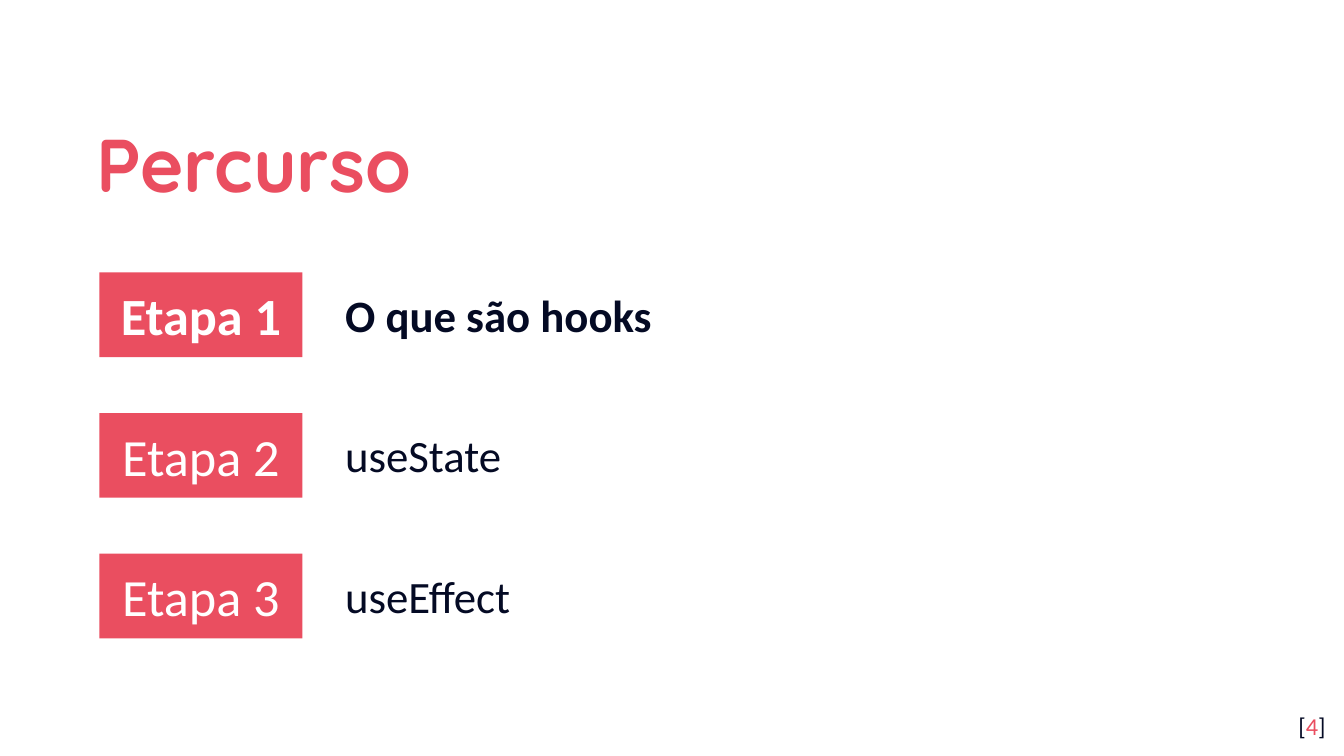
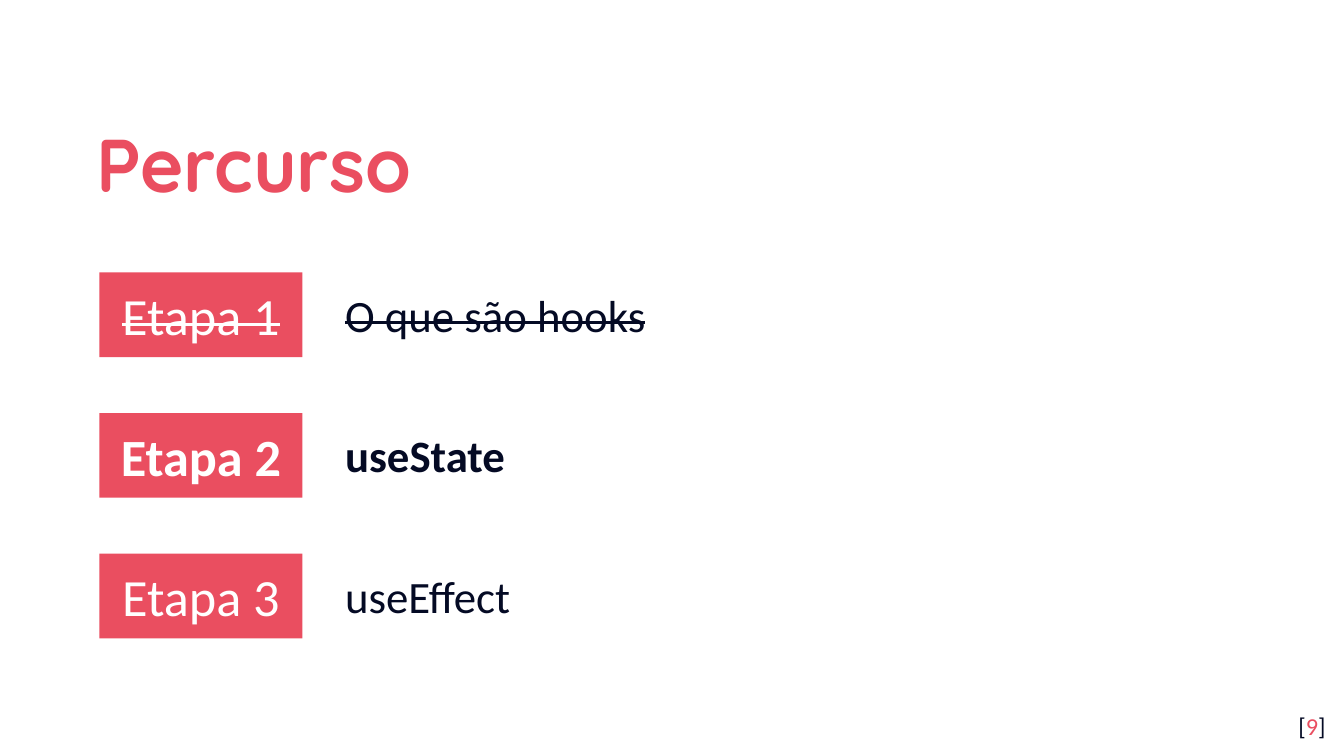
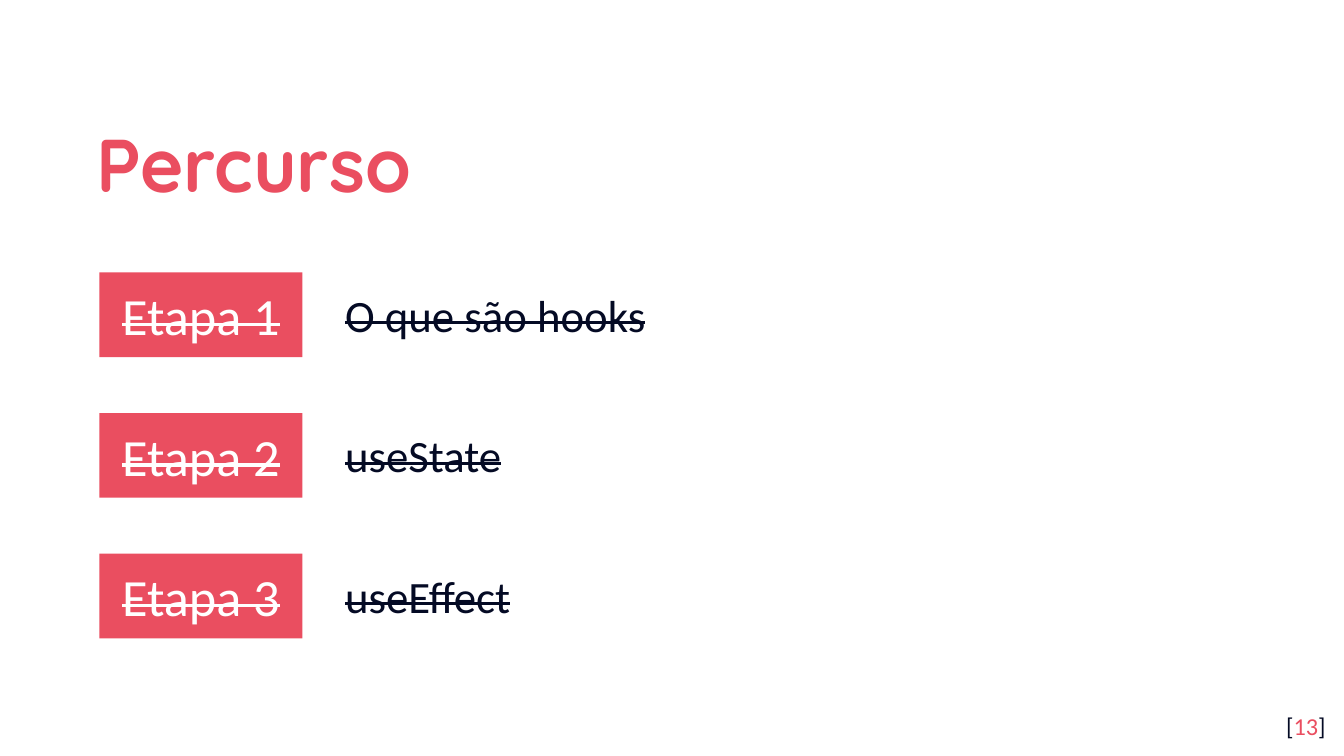
from collections import namedtuple

from pptx import Presentation
from pptx.dml.color import RGBColor
from pptx.enum import shapes, text
from pptx.util import Pt

Box = namedtuple("Box", "left top width height")

COLORS = {"accent": "EA4E60", "ink": "040A24", "paper": "FFFFFF"}
TITLE_STYLE = {"name": "Quicksand", "size": Pt(40), "bold": True}
BADGE_STYLE = {"name": "Calibri", "size": Pt(28)}
TOPIC_STYLE = {"name": "Calibri", "size": Pt(24)}
NUMBER_STYLE = {"name": "Calibri", "size": Pt(13)}

TITLE_BOX = Box(44.6, 50.4, 583.2, 66.2)
STEPS_BOX = Box(53.3, 146, 611, 196)
NUMBER_BOX = Box(674, 373.7, 43.2, 31)
BADGE_WIDTH, BADGE_HEIGHT = 108.7, 45.4
TOPIC_INSET, TOPIC_DROP = 124.5, 4.4
HANGING_INDENT = 36

# Topic, height of its text box, extra width, hanging indent
STEPS = [
    ("O que são hooks", 36, 0, 0),
    ("useState", 44.6, 0, HANGING_INDENT),
    ("useEffect", 76.3, 43.2, HANGING_INDENT),
]
# Page number and the step under way; earlier steps are struck through
PAGES = [(4, 1), (9, 2), (13, 4)]


def color(name):
    return RGBColor.from_string(COLORS[name])


def points(box):
    return [Pt(length) for length in box]


def set_all(target, values):
    for name, value in values.items():
        setattr(target, name, value)


def prepare_frame(shape, anchor=text.MSO_ANCHOR.TOP, inset=7.2):
    """Set wrapping, anchor and margins, and return the first paragraph."""
    frame = shape.text_frame
    set_all(frame, {
        "word_wrap": True,
        "vertical_anchor": anchor,
        "margin_left": Pt(7.2),
        "margin_right": Pt(7.2),
        "margin_top": Pt(inset),
        "margin_bottom": Pt(inset),
    })
    return frame.paragraphs[0]


def add_span(para, words, style, color_name, struck=False):
    span = para.add_run()
    span.text = words
    set_all(span.font, style)
    span.font.color.rgb = color(color_name)
    if struck:
        span._r.get_or_add_rPr().set("strike", "sngStrike")


def set_indent(para, hanging):
    properties = para._p.get_or_add_pPr()
    properties.set("marL", str(Pt(hanging)))
    properties.set("indent", str(Pt(-hanging)))


def add_title(page, box, words):
    para = prepare_frame(page.shapes.add_textbox(*points(box)),
                         text.MSO_ANCHOR.MIDDLE)
    para.line_spacing = 1.15
    add_span(para, words, TITLE_STYLE, "accent")


def add_badge(page, box, words, emphasis, struck):
    badge = page.shapes.add_shape(shapes.MSO_SHAPE.RECTANGLE, *points(box))
    badge.shadow.inherit = False
    badge.fill.solid()
    badge.fill.fore_color.rgb = color("accent")
    badge.line.fill.background()
    para = prepare_frame(badge, text.MSO_ANCHOR.MIDDLE)
    set_all(para, {"alignment": text.PP_ALIGN.CENTER, "level": 1})
    set_indent(para, 0)
    add_span(para, words, BADGE_STYLE | emphasis, "paper", struck)


def add_topic(page, box, words, hanging, emphasis, struck):
    para = prepare_frame(page.shapes.add_textbox(*points(box)), inset=3.6)
    set_indent(para, hanging)
    add_span(para, words, TOPIC_STYLE | emphasis, "ink", struck)


def add_steps(page, box, current):
    """Spread the steps evenly over the box, each a badge with its topic."""
    pitch = (box.height - BADGE_HEIGHT) / (len(STEPS) - 1)
    for number, (topic, height, extra, hanging) in enumerate(STEPS, start=1):
        top = box.top + (number - 1) * pitch
        emphasis = {"bold": number == current}
        struck = number < current
        add_badge(page, Box(box.left, top, BADGE_WIDTH, BADGE_HEIGHT),
                  f"Etapa {number}", emphasis, struck)
        topic_box = Box(box.left + TOPIC_INSET, top + TOPIC_DROP,
                        box.width - TOPIC_INSET + extra, height)
        add_topic(page, topic_box, topic, hanging, emphasis, struck)


def add_page_number(page, box, number):
    para = prepare_frame(page.shapes.add_textbox(*points(box)))
    para.alignment = text.PP_ALIGN.RIGHT
    for words, name in (("[", "ink"), (str(number), "accent"), ("]", "ink")):
        add_span(para, words, NUMBER_STYLE, name)


def add_route_page(deck, number, current):
    page = deck.slides.add_slide(deck.slide_layouts[6])
    page.background.fill.solid()
    page.background.fill.fore_color.rgb = color("paper")
    add_title(page, TITLE_BOX, "Percurso")
    add_steps(page, STEPS_BOX, current)
    add_page_number(page, NUMBER_BOX, number)


def main():
    deck = Presentation()
    set_all(deck, {"slide_width": Pt(720), "slide_height": Pt(405)})
    for number, current in PAGES:
        add_route_page(deck, number, current)
    deck.save("out.pptx")


if __name__ == "__main__":
    main()
